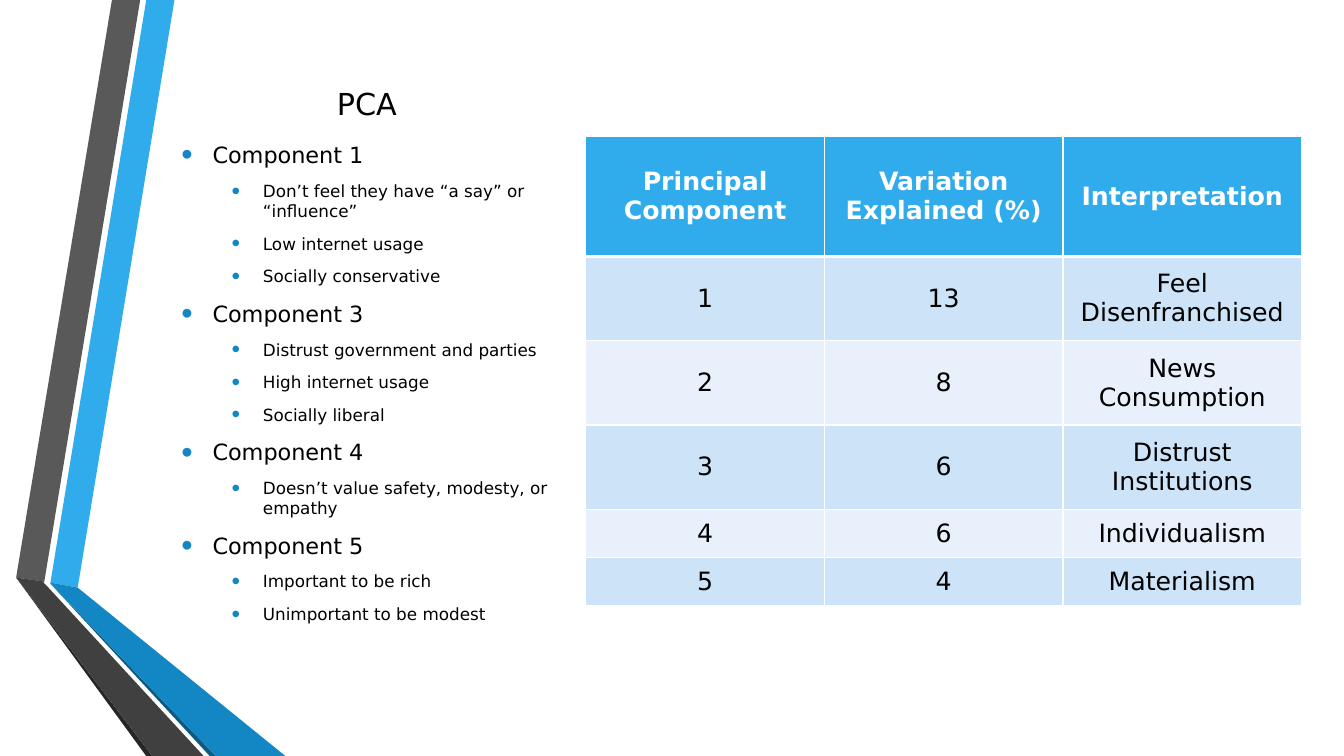
from dataclasses import dataclass

from lxml.etree import SubElement
from pptx import Presentation
from pptx.dml.color import RGBColor
from pptx.enum.text import MSO_ANCHOR as Anchor, PP_ALIGN as Align
from pptx.oxml.ns import qn
from pptx.util import Inches, Pt

FONT = "DejaVu Sans"
COLORS = {
    "text": "000000", "white": "FFFFFF", "sky": "30ACEC", "blue": "1287C3",
    "navy": "0C5A82", "gray": "595959", "charcoal": "404040", "soot": "262626",
    "band": "CDE3F8", "pale": "E8F1FB",
}
RIBBONS = [
    ("sky", [(3.75, 77.07), (5.78, 77.73), (12.98, 0), (10.88, 0)]),
    ("gray", [(10.43, 0), (8.33, 0), (1.2, 76.4), (3.3, 76.93)]),
    ("soot", [(1.2, 76.4), (10.88, 100), (11.33, 100)]),
    ("navy", [(3.75, 77.2), (15.6, 100), (16.05, 100)]),
    ("blue", [(3.75, 77.2), (16.05, 100), (21.23, 100), (5.78, 77.73), (3.75, 77.07)]),
    ("charcoal", [(15.15, 100), (3.6, 77.73), (3.23, 77.07), (3.3, 76.93),
                  (1.2, 76.4), (11.33, 100)]),
]
COMPONENTS = {
    "Component 1": ["Don’t feel they have “a say” or “influence”",
                    "Low internet usage", "Socially conservative"],
    "Component 3": ["Distrust government and parties",
                    "High internet usage", "Socially liberal"],
    "Component 4": ["Doesn’t value safety, modesty, or empathy"],
    "Component 5": ["Important to be rich", "Unimportant to be modest"],
}
VARIATION = [
    ("Principal Component", "Variation Explained (%)", "Interpretation"),
    ("1", "13", "Feel Disenfranchised"),
    ("2", "8", "News Consumption"),
    ("3", "6", "Distrust Institutions"),
    ("4", "6", "Individualism"),
    ("5", "4", "Materialism"),
]
ROW_WEIGHTS = [10, 7, 7, 7, 4, 4]


@dataclass
class Box:
    """A rectangle in EMU that can be cut by percentages."""
    left: int
    top: int
    width: int
    height: int

    def point(self, x, y):
        """Return the position at x and y percent of the box."""
        return (round(self.left + self.width * x / 100),
                round(self.top + self.height * y / 100))

    def cut(self, x, y, width, height):
        """Return the sub-box given in percent of this box."""
        return Box(*self.point(x, y), round(self.width * width / 100),
                   round(self.height * height / 100))

    def place(self):
        """Return left, top, width and height for a new shape."""
        return self.left, self.top, self.width, self.height


def color(name):
    """Return the named colour."""
    return RGBColor.from_string(COLORS[name])


def add_run(paragraph, text, size, ink="text", bold=False):
    """Add one formatted run."""
    run = paragraph.add_run()
    run.text = text
    run.font.name, run.font.size, run.font.bold = FONT, Pt(size), bold
    run.font.color.rgb = color(ink)


def add_text_frame(slide, box, anchor):
    """Add a wrapping text box and return its frame."""
    frame = slide.shapes.add_textbox(*box.place()).text_frame
    frame.word_wrap = True
    frame.vertical_anchor = anchor
    return frame


def add_ribbons(slide, box):
    """Draw the folded ribbons along the left edge."""
    for fill, corners in RIBBONS:
        start, *others = [box.point(x, y) for x, y in corners]
        builder = slide.shapes.build_freeform(*start)
        builder.add_line_segments(others, close=True)
        shape = builder.convert_to_shape()
        shape.shadow.inherit = False
        shape.fill.solid()
        shape.fill.fore_color.rgb = color(fill)
        shape.line.fill.background()


def add_title(slide, box):
    """Place the centred heading."""
    paragraph = add_text_frame(slide, box, Anchor.BOTTOM).paragraphs[0]
    paragraph.alignment = Align.CENTER
    add_run(paragraph, "PCA", 21.6)


def set_bullet(paragraph, level):
    """Give a paragraph its hanging bullet."""
    properties = paragraph._p.get_or_add_pPr()
    properties.set("marL", str(Inches(0.31 + 0.5 * level)))
    properties.set("indent", str(-Inches(0.31)))
    bullet_color = SubElement(properties, qn("a:buClr"))
    SubElement(bullet_color, qn("a:srgbClr"), val=COLORS["blue"])
    SubElement(properties, qn("a:buSzPct"), val="145000")
    SubElement(properties, qn("a:buFont"), typeface="Arial")
    SubElement(properties, qn("a:buChar"), char="•")


def add_components(slide, box):
    """Place the two-level list of components."""
    frame = add_text_frame(slide, box, Anchor.MIDDLE)
    lines = [(level, text) for heading, traits in COMPONENTS.items()
             for level, text in [(0, heading), *((1, trait) for trait in traits)]]
    for index, (level, text) in enumerate(lines):
        paragraph = frame.add_paragraph() if index else frame.paragraphs[0]
        size = 12 if level else 16
        paragraph.level = level
        paragraph.space_before = Pt(0.24 * size)
        paragraph.space_after = Pt(6)
        set_bullet(paragraph, level)
        add_run(paragraph, text, size)


def set_borders(cell, top, bottom):
    """Draw white cell borders with the given top and bottom widths."""
    properties = cell._tc.get_or_add_tcPr()
    for side, width in (("L", 1), ("R", 1), ("T", top), ("B", bottom)):
        line = SubElement(properties, qn(f"a:ln{side}"), w=str(Pt(width)))
        fill = SubElement(line, qn("a:solidFill"))
        SubElement(fill, qn("a:srgbClr"), val=COLORS["white"])


def add_variation_table(slide, box):
    """Place the table of explained variation."""
    columns = len(VARIATION[0])
    table = slide.shapes.add_table(len(VARIATION), columns, *box.place()).table
    for column in table.columns:
        column.width = box.width // columns
    for index, values in enumerate(VARIATION):
        header = index == 0
        table.rows[index].height = box.height * ROW_WEIGHTS[index] // sum(ROW_WEIGHTS)
        for cell, text in zip(table.rows[index].cells, values):
            set_borders(cell, 3 if index == 1 else 1, 3 if header else 1)
            cell.fill.solid()
            cell.fill.fore_color.rgb = color(
                "sky" if header else "band" if index % 2 else "pale")
            cell.vertical_anchor = Anchor.MIDDLE
            paragraph = cell.text_frame.paragraphs[0]
            paragraph.alignment = Align.CENTER
            add_run(paragraph, text, 18, "white" if header else "text", header)


def main():
    """Build and save the slide."""
    presentation = Presentation()
    presentation.slide_width, presentation.slide_height = Inches(13.33), Inches(7.5)
    slide = presentation.slides.add_slide(presentation.slide_layouts[6])
    page = Box(0, 0, presentation.slide_width, presentation.slide_height)
    add_ribbons(slide, page)
    add_title(slide, page.cut(12.75, 10, 29.1, 6.67))
    add_components(slide, page.cut(12.75, 16.67, 29.1, 67.87))
    add_variation_table(slide, page.cut(43.59, 18, 53.26, 62.13))
    presentation.save("out.pptx")


if __name__ == "__main__":
    main()
